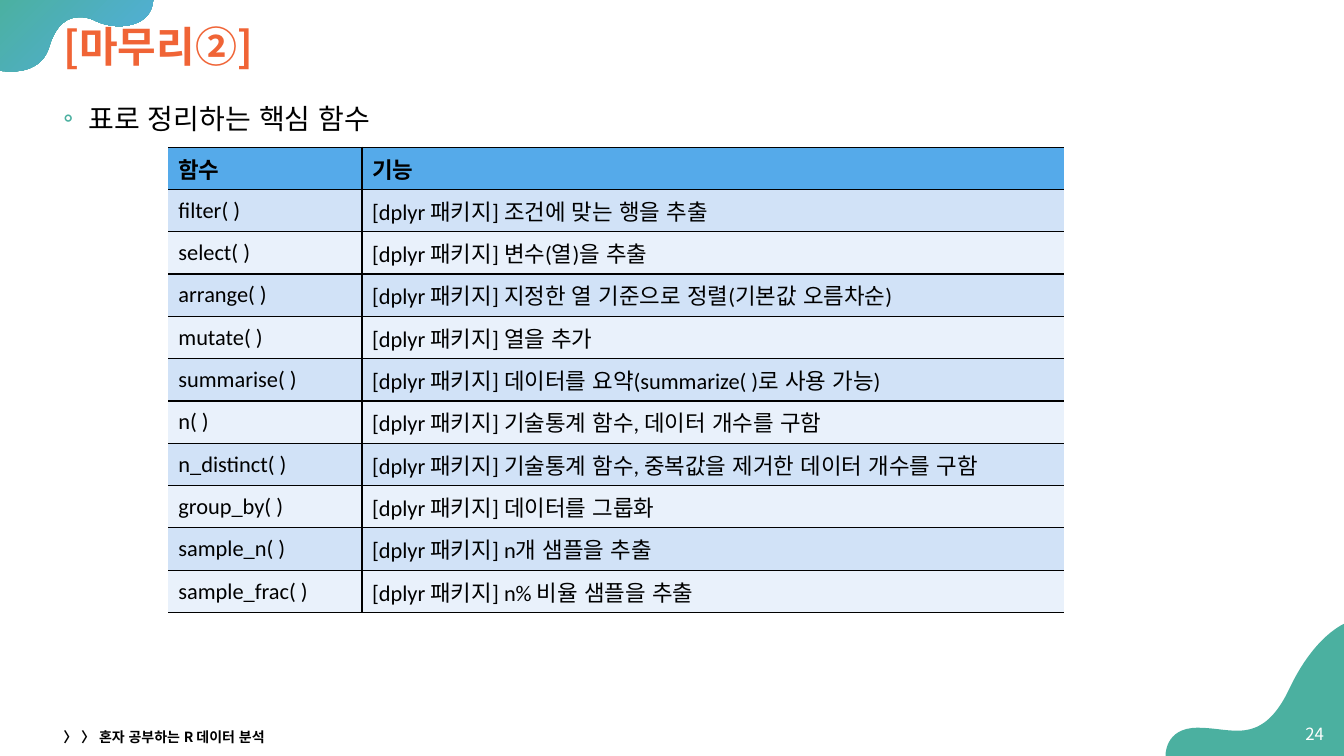
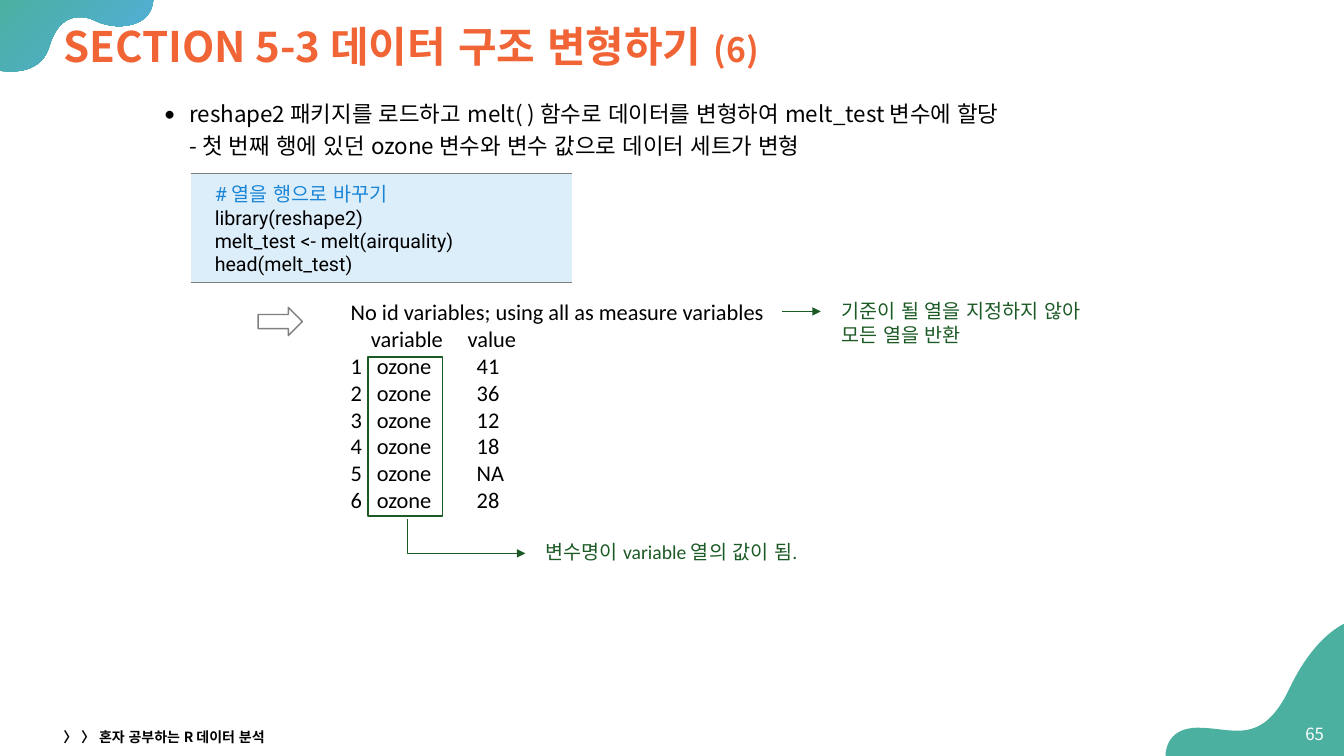
from lxml.etree import SubElement as Sub
from pptx import Presentation
from pptx.dml.color import RGBColor
from pptx.enum.shapes import MSO_CONNECTOR as Link, MSO_SHAPE as Shape
from pptx.enum.text import MSO_ANCHOR as Anchor, PP_ALIGN as Align
from pptx.oxml.ns import qn
from pptx.util import Inches, Pt

NOTO, CAL, ROBO = "Noto Sans CJK KR", "Calibri", "Roboto"
BLACK, WHITE, GRAY = "000000", "FFFFFF", "808080"
TEAL, SKY, CORAL, GREEN = "4BB0A0", "52AEE1", "F06436", "1C5A25"
HEAD, BANDS = "55AAEA", ("D1E2F7", "E9F1FB")
PALE, NOTE = "DDEEFB", "1A85D5"

FOOTER = "〉 〉 혼자 공부하는 R 데이터 분석"
TOP_WAVE = [
    (1.52, -0.02), (-0.01, -0.02), (-0.01, 0.7),
    (-0.01, 0.7, 0.04, 0.71, 0.11, 0.71),
    (0.24, 0.71, 0.43, 0.67, 0.49, 0.46),
    (0.56, 0.23, 0.68, 0.17, 0.79, 0.17),
    (0.84, 0.17, 0.89, 0.18, 0.93, 0.2),
    (1.01, 0.24, 1.1, 0.26, 1.18, 0.26),
    (1.37, 0.26, 1.52, 0.17, 1.52, -0.02),
]
LOW_WAVE = [
    (13.35, 6.18),
    (13.35, 6.18, 13.04, 6.29, 12.78, 6.85),
    (12.62, 7.18, 12.45, 7.25, 12.27, 7.25),
    (12.15, 7.25, 12.02, 7.22, 11.88, 7.22),
    (11.54, 7.22, 11.56, 7.51, 11.56, 7.51),
    (13.35, 7.51), (13.35, 6.18),
]
PACKAGE = "[dplyr 패키지] "
FUNCS = [
    ("filter( )", "조건에 맞는 행을 추출"),
    ("select( )", "변수(열)을 추출"),
    ("arrange( )", "지정한 열 기준으로 정렬(기본값 오름차순)"),
    ("mutate( )", "열을 추가"),
    ("summarise( )", "데이터를 요약(summarize( )로 사용 가능)"),
    ("n( )", "기술통계 함수, 데이터 개수를 구함"),
    ("n_distinct( )", "기술통계 함수, 중복값을 제거한 데이터 개수를 구함"),
    ("group_by( )", "데이터를 그룹화"),
    ("sample_n( )", "n개 샘플을 추출"),
    ("sample_frac( )", "n% 비율 샘플을 추출"),
]
MELT = ("reshape2 패키지를 로드하고 melt( ) 함수로 데이터를 변형하여 melt_test 변수에 할당\v"
        "- 첫 번째 행에 있던 ozone 변수와 변수 값으로 데이터 세트가 변형")
CODE = [
    [("# 열을 행으로 바꾸기", {"color": NOTE})],
    "library(reshape2)",
    "melt_test <- melt(airquality)",
    "head(melt_test)",
]
VALUES = ["41", "36", "12", "18", "NA", "28"]


def rgb(code):
    return RGBColor.from_string(code)


def style(run, size, font, color, bold):
    face = run.font
    face.size, face.name, face.bold = Pt(size), font, bold
    face.color.rgb = rgb(color)
    face._element.set("lang", "ko-KR")


def write(frame, lines, size=16, font=NOTO, color=BLACK, bold=False, align=Align.LEFT,
          space=None, bullet=None, tint=BLACK, left=0, tabs=()):
    for i, line in enumerate(lines):
        para = frame.paragraphs[0] if i == 0 else frame.add_paragraph()
        props = para._p.get_or_add_pPr()
        if bullet:
            props.set("marL", str(Inches(left)))
            props.set("indent", str(Inches(-0.25)))
            Sub(Sub(props, qn("a:buClr")), qn("a:srgbClr"), val=tint)
            Sub(props, qn("a:buFont"), typeface=CAL)
            Sub(props, qn("a:buChar"), char=bullet)
        if tabs:
            stops = Sub(props, qn("a:tabLst"))
            for stop in tabs[min(i, len(tabs) - 1)]:
                Sub(stops, qn("a:tab"), pos=str(Inches(stop)), algn="l")
        para.alignment = align
        if space:
            para.line_spacing = space
        for text, extra in [(line, {})] if isinstance(line, str) else line:
            look = {"size": size, "font": font, "color": color, "bold": bold, **extra}
            for j, part in enumerate(text.split("\v")):
                if j:
                    para.add_line_break()
                run = para.add_run()
                run.text = part
                style(run, **look)


def label(slide, box, lines, anchor=Anchor.TOP, **look):
    frame = slide.shapes.add_textbox(*map(Inches, box)).text_frame
    frame.word_wrap = True
    frame.vertical_anchor = anchor
    write(frame, lines, **look)


def outline(slide, steps, close=True):
    dots = [(Inches(step[-2]), Inches(step[-1])) for step in steps]
    pen = slide.shapes.build_freeform(*dots[0])
    pen.add_line_segments(dots[1:], close=False)
    form = pen.convert_to_shape()
    form.shadow.inherit = False
    track = next(form._element.iter(qn("a:path")))
    for edge, step in zip(track.findall(qn("a:lnTo")), steps[1:]):
        if len(step) == 6:
            bend = Sub(track, qn("a:cubicBezTo"))
            for x, y in zip(step[::2], step[1::2]):
                Sub(bend, qn("a:pt"), x=str(Inches(x) - form.left), y=str(Inches(y) - form.top))
            track.replace(edge, bend)
    if close:
        Sub(track, qn("a:close"))
    return form


def stroke(shape, color, width=1, arrow=False):
    shape.line.color.rgb = rgb(color)
    shape.line.width = Pt(width)
    if arrow:
        Sub(shape.line._get_or_add_ln(), qn("a:tailEnd"), type="triangle")


def hollow(slide, kind, box, color):
    shape = slide.shapes.add_shape(kind, *map(Inches, box))
    shape.shadow.inherit = False
    shape.fill.background()
    stroke(shape, color)


def paint(cell, fill, sides, color):
    props = cell._tc.get_or_add_tcPr()
    for side in "LRTB":
        edge = Sub(props, qn("a:ln" + side), w=str(Pt(1)))
        if side in sides:
            Sub(Sub(edge, qn("a:solidFill")), qn("a:srgbClr"), val=color)
        else:
            Sub(edge, qn("a:noFill"))
    cell.fill.solid()
    cell.fill.fore_color.rgb = rgb(fill)


def grid(slide, rows, widths, box):
    table = slide.shapes.add_table(rows, len(widths), *map(Inches, box)).table
    table.first_row = table.horz_banding = False
    for col, width in zip(table.columns, widths):
        col.width = Inches(width)
    return table


def start(deck, title, number):
    slide = deck.slides.add_slide(deck.slide_layouts[6])
    wave = outline(slide, TOP_WAVE)
    wave.fill.gradient()
    wave.fill.gradient_angle = 315
    for stop, color in zip(wave.fill.gradient_stops, (TEAL, SKY)):
        stop.color.rgb = rgb(color)
    low = outline(slide, LOW_WAVE)
    low.fill.solid()
    low.fill.fore_color.rgb = rgb(TEAL)
    for form in (wave, low):
        form.line.fill.background()
    mid = Anchor.MIDDLE
    label(slide, (0.53, 0.12, 12.34, 0.73), [title], mid,
          size=30, color=CORAL, bold=True, space=0.9)
    label(slide, (12.79, 7.08, 0.44, 0.4), [number], mid,
          size=12, color=WHITE, align=Align.RIGHT)
    label(slide, (0.53, 7.19, 4.5, 0.24), [FOOTER], mid, size=10, bold=True)
    return slide


def summary(deck):
    slide = start(deck, "[마무리②]", "24")
    label(slide, (0.53, 0.89, 12.34, 6.3), ["표로 정리하는 핵심 함수"],
          size=20, space=1.2, bullet="◦", tint=TEAL, left=0.25)
    rows = [("함수", "기능")] + [(name, PACKAGE + use) for name, use in FUNCS]
    table = grid(slide, len(rows), (1.92, 6.96), (1.67, 1.46, 8.88, 4.62))
    for r, row in enumerate(rows):
        for c, text in enumerate(row):
            cell = table.cell(r, c)
            cell.vertical_anchor = Anchor.MIDDLE
            paint(cell, BANDS[(r - 1) % 2] if r else HEAD, "TB" + "RL"[c], BLACK)
            write(cell.text_frame, [text], font=CAL, bold=r == 0)


def reshape(deck):
    title = [("SECTION 5-3 데이터 구조 변형하기 ", {}), ("(6)", {"size": 24})]
    slide = start(deck, title, "65")
    label(slide, (0.53, 0.89, 12.34, 5.75), [MELT], space=1.2, bullet="•", left=1.25)

    cell = grid(slide, 1, (3.78,), (1.89, 1.72, 3.78, 1.08)).cell(0, 0)
    cell.margin_left = Inches(0.24)
    paint(cell, PALE, "TB", GRAY)
    write(cell.text_frame, CODE, size=14, font=ROBO)

    hollow(slide, Shape.RIGHT_ARROW, (2.56, 3.05, 0.44, 0.28), GRAY)
    line = slide.shapes.add_connector(
        Link.STRAIGHT, *map(Inches, (7.76, 3.09, 8.14, 3.09)))
    stroke(line, GREEN, 0.5, arrow=True)
    Sub(line._element.spPr, qn("a:effectLst"))

    out = ["No id variables; using all as measure variables", "\tvariable\tvalue"]
    out += [f"{i}\tozone\t{value}" for i, value in enumerate(VALUES, 1)]
    label(slide, (3.38, 2.91, 4.56, 2.32), out, font=CAL,
          tabs=((), (0.2, 1.16), (0.26, 1.25)))
    for box, text in (
        ((8.25, 2.92, 3.27, 0.57), "기준이 될 열을 지정하지 않아 \v모든 열을 반환"),
        ((5.31, 5.31, 3.27, 0.34), "변수명이 variable 열의 값이 됨."),
    ):
        label(slide, box, [text], size=14, font=CAL, color=GREEN)

    hollow(slide, Shape.RECTANGLE, (3.65, 3.54, 0.74, 1.58), GREEN)
    elbow = outline(slide, [(4.04, 5.15), (4.04, 5.49), (5.21, 5.49)], close=False)
    elbow.fill.background()
    stroke(elbow, GREEN, arrow=True)


def main():
    deck = Presentation()
    deck.slide_width, deck.slide_height = Inches(13.33), Inches(7.5)
    summary(deck)
    reshape(deck)
    deck.save("out.pptx")


if __name__ == "__main__":
    main()
